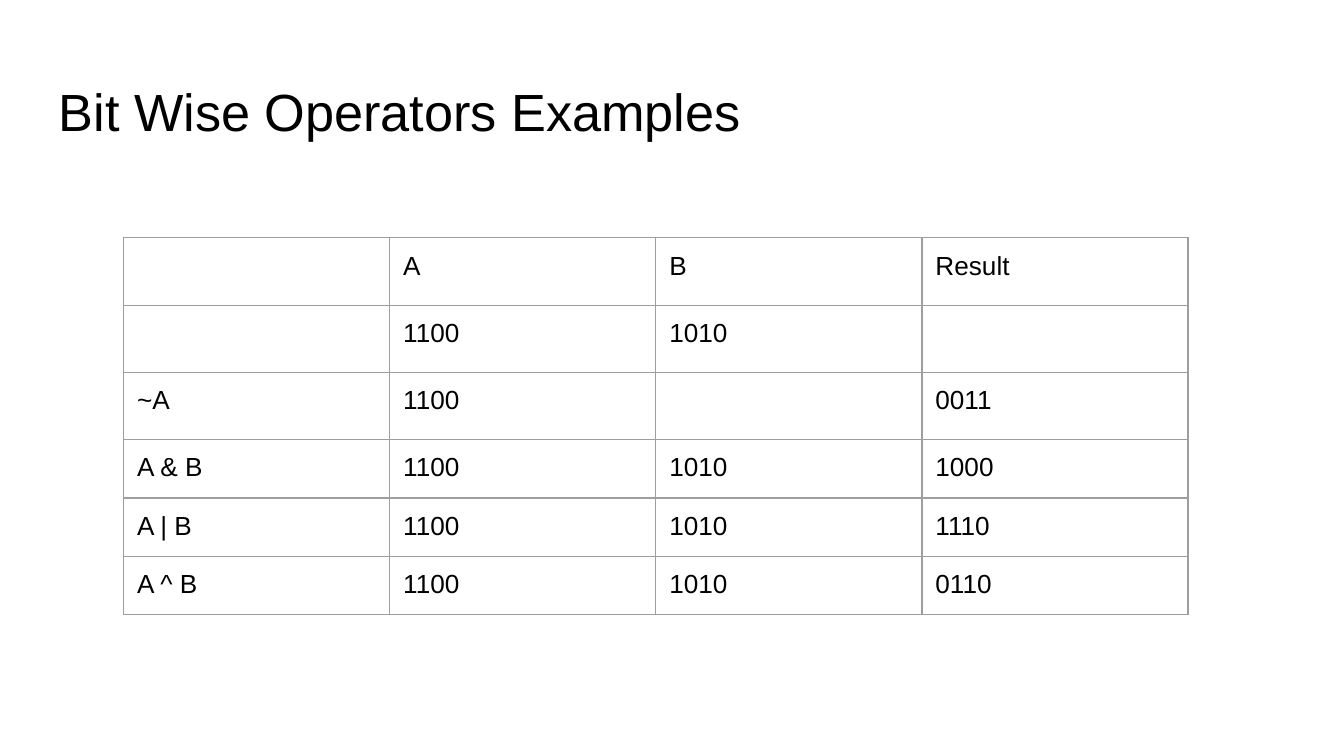
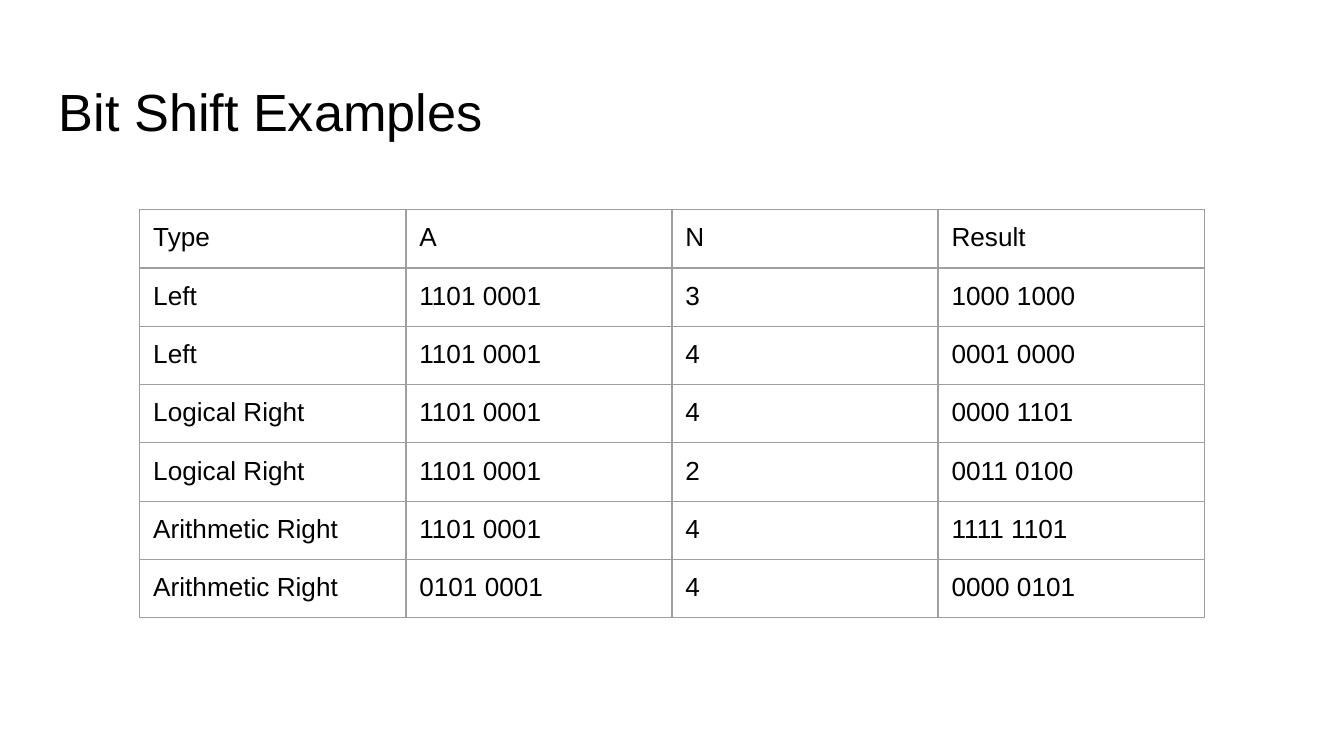
"""Build two slides of bitwise operator and bit shift examples."""
from lxml import etree
from pptx import Presentation
from pptx.dml.color import RGBColor
from pptx.enum.text import MSO_ANCHOR
from pptx.oxml.ns import qn
from pptx.util import Inches, Pt

TOP = MSO_ANCHOR.TOP
FONT = "Arial"
COLORS = {"background": "FFFFFF", "text": "000000", "border": "9E9E9E"}
INSET = Inches(0.1)
COLUMN_WIDTH = Inches(1.98)
ROW_HEIGHT = Inches(5 / 12)
BLANK_SIZE = 18

EXAMPLES = [
    ("Bit Wise Operators Examples", 0.92, 1.77, [
        ("", "A", "B", "Result"),
        ("", "1100", "1010", ""),
        ("~A", "1100", "", "0011"),
        ("A & B", "1100", "1010", "1000"),
        ("A | B", "1100", "1010", "1110"),
        ("A ^ B", "1100", "1010", "0110"),
    ]),
    ("Bit Shift Examples", 1.04, 1.56, [
        ("Type", "A", "N", "Result"),
        ("Left", "1101 0001", "3", "1000 1000"),
        ("Left", "1101 0001", "4", "0001 0000"),
        ("Logical Right", "1101 0001", "4", "0000 1101"),
        ("Logical Right", "1101 0001", "2", "0011 0100"),
        ("Arithmetic Right", "1101 0001", "4", "1111 1101"),
        ("Arithmetic Right", "0101 0001", "4", "0000 0101"),
    ]),
]


def write(holder, paragraph, text, size):
    """Fill a title or cell with text in the shared style."""
    holder.margin_left = holder.margin_right = INSET
    holder.margin_top = holder.margin_bottom = INSET
    holder.vertical_anchor = TOP
    if text:
        paragraph.text = text
        paragraph.font.name = FONT
        paragraph.font.size = Pt(size)
        paragraph.font.bold = False
        paragraph.font.color.rgb = RGBColor.from_string(COLORS["text"])
    ending = etree.SubElement(paragraph._p, qn("a:endParaRPr"), sz=str(size * 100))
    etree.SubElement(ending, qn("a:latin"), typeface=FONT)


def add_borders(cell):
    """Draw a thin line on all four sides of a cell."""
    properties = cell._tc.get_or_add_tcPr()
    for position, side in enumerate(("a:lnL", "a:lnR", "a:lnT", "a:lnB")):
        line = etree.Element(qn(side), w=str(Pt(0.75)))
        fill = etree.SubElement(line, qn("a:solidFill"))
        etree.SubElement(fill, qn("a:srgbClr"), val=COLORS["border"])
        properties.insert(position, line)


deck = Presentation()
deck.slide_width = Inches(10)
deck.slide_height = deck.slide_width * 9 // 16
blank_layout = deck.slide_layouts[6]
for defaults in (deck.element, deck.slide_master.element):
    for latin in defaults.iter(qn("a:latin")):
        latin.set("typeface", FONT)

for heading, left, top, rows in EXAMPLES:
    slide = deck.slides.add_slide(blank_layout)
    slide.background.fill.solid()
    slide.background.fill.fore_color.rgb = RGBColor.from_string(COLORS["background"])

    title = slide.shapes.add_textbox(Inches(0.34), Inches(0.49), Inches(9.32), Inches(0.63)).text_frame
    title.word_wrap = True
    write(title, title.paragraphs[0], heading, 28)

    columns = len(rows[0])
    examples = slide.shapes.add_table(
        len(rows), columns, Inches(left), Inches(top),
        COLUMN_WIDTH * columns, ROW_HEIGHT * len(rows)).table
    examples.first_row = examples.horz_banding = False
    for row_index, row in enumerate(rows):
        for column_index, value in enumerate(row):
            cell = examples.cell(row_index, column_index)
            write(cell, cell.text_frame.paragraphs[0], value, 14 if value else BLANK_SIZE)
            cell.fill.background()
            add_borders(cell)

deck.save("out.pptx")
